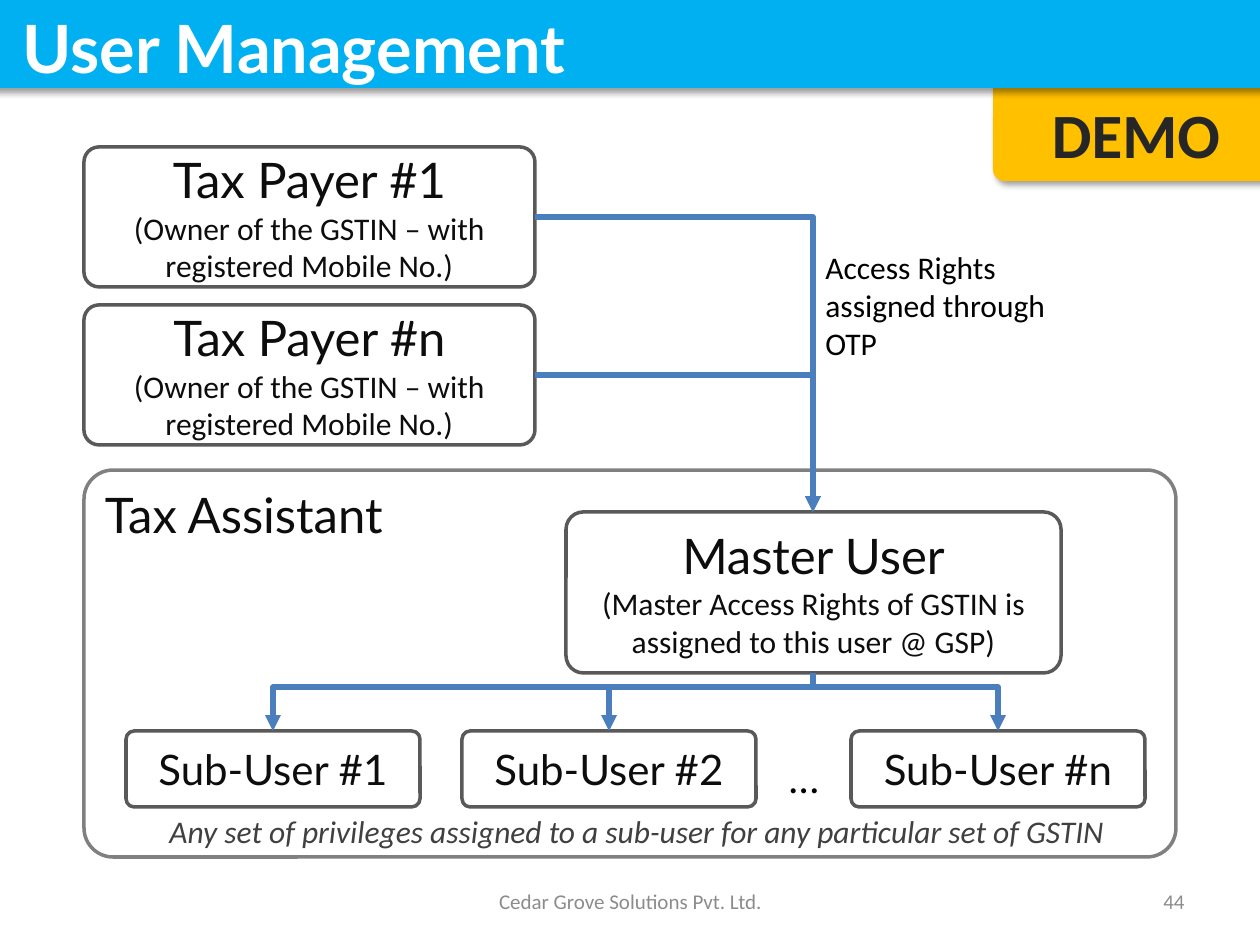
"""Build the User Management slide showing how access rights pass to sub-users."""
from dataclasses import dataclass

from lxml import etree
from pptx import Presentation, util as u
from pptx.dml.color import RGBColor
from pptx.enum import shapes, text
from pptx.oxml.ns import qn

SCALE = 914400 / 126


def px(length):
    """Turn px into EMU."""
    return u.Emu(round(length * SCALE))


@dataclass(frozen=True)
class Theme:
    """Colours, fonts and type sizes."""
    bar: str = "00B0F0"
    badge: str = "FFC000"
    white: str = "FFFFFF"
    black: str = "000000"
    ink: str = "0D0D0D"
    badge_ink: str = "262626"
    note_ink: str = "404040"
    footer_ink: str = "8C8C8C"
    box_line: str = "595959"
    panel_line: str = "808080"
    arrow: str = "4B7EBC"
    head_font: str = "Lato"
    body_font: str = "Calibri"
    title: int = 38
    demo: int = 36
    head: int = 28
    sub: int = 24
    body: int = 18
    footer: int = 12


class Deck:
    """Holds the theme and the current slide and draws its elements."""

    def __init__(self, theme):
        """Open a one-slide deck."""
        self.theme = theme
        self.deck = Presentation()
        self.deck.slide_width, self.deck.slide_height = px(1260), px(945)
        self.slide = self.deck.slides.add_slide(self.deck.slide_layouts[5])

    def fill_text(self, frame, lines, align, anchor, wrap=True):
        """Add one paragraph for each (wording, size, font, colour, style) line."""
        frame.word_wrap = wrap
        frame.vertical_anchor = anchor
        for index, (wording, size, face, colour, style) in enumerate(lines):
            paragraph = frame.add_paragraph() if index else frame.paragraphs[0]
            paragraph.alignment = align
            run = paragraph.add_run()
            run.text = wording
            run.font.size = u.Pt(size)
            run.font.name = face
            run.font.color.rgb = RGBColor.from_string(colour)
            run.font.bold = style == "bold"
            run.font.italic = style == "italic"

    def title(self, area, wording):
        """Place the title placeholder above what is drawn so far."""
        t = self.theme
        heading = self.slide.shapes.title
        heading.left, heading.top, heading.width, heading.height = map(px, area)
        self.slide.shapes._spTree.append(heading._element)
        heading.text_frame.auto_size = text.MSO_AUTO_SIZE.NONE
        self.fill_text(heading.text_frame, [(wording, t.title, t.head_font, t.white, "bold")],
                       text.PP_ALIGN.LEFT, text.MSO_ANCHOR.TOP)

    def box(self, area, fill, line=None, corner=0.108, lines=(), shadow=None,
            align=text.PP_ALIGN.CENTER, anchor=text.MSO_ANCHOR.MIDDLE):
        """Draw a rounded box, with a shadow in the given direction if any."""
        box = self.slide.shapes.add_shape(
            shapes.MSO_SHAPE.ROUNDED_RECTANGLE, *map(px, area))
        box.adjustments[0] = corner
        box.fill.solid()
        box.fill.fore_color.rgb = RGBColor.from_string(fill)
        if line:
            box.line.color.rgb = RGBColor.from_string(line)
            box.line.width = u.Pt(2)
        else:
            box.line.fill.background()
        box.shadow.inherit = False
        if shadow is not None:
            effects = box._element.spPr.find(qn("a:effectLst"))
            outer = etree.SubElement(effects, qn("a:outerShdw"), blurRad=str(u.Pt(4)),
                                     dist=str(u.Pt(3)), dir=str(shadow * 60000),
                                     algn="tl", rotWithShape="0")
            colour = etree.SubElement(outer, qn("a:srgbClr"), val=self.theme.black)
            etree.SubElement(colour, qn("a:alpha"), val="40000")
        self.fill_text(box.text_frame, lines, align, anchor)

    def card(self, area, heading, detail=None, size=None):
        """Draw a white outlined box with a heading and an optional detail."""
        t = self.theme
        lines = [(heading, size or t.head, t.head_font, t.ink, None)]
        if detail:
            lines.append((detail, t.body, t.body_font, t.ink, None))
        self.box(area, t.white, t.box_line, lines=lines)

    def label(self, area, wording, size, colour, style=None, wrap=True,
              align=text.PP_ALIGN.LEFT, anchor=text.MSO_ANCHOR.TOP):
        """Add a text box."""
        label = self.slide.shapes.add_textbox(*map(px, area))
        self.fill_text(label.text_frame, [(wording, size, self.theme.body_font, colour, style)],
                       align, anchor, wrap)

    def elbow(self, start, end, bend=None):
        """Draw a bent arrow: across then down, or down, across, down at the bend."""
        (x1, y1), (x2, y2) = start, end
        arrow = self.slide.shapes.add_connector(
            shapes.MSO_CONNECTOR.ELBOW, px(x1), px(y1), px(x2), px(y2))
        properties = arrow._element.spPr
        geometry = properties.find(qn("a:prstGeom"))
        if bend is None:
            geometry.set("prst", "bentConnector2")
        else:
            drop, reach = y2 - y1, abs(x2 - x1)
            arrow.left, arrow.top = px((x1 + x2 - drop) / 2), px((y1 + y2 - reach) / 2)
            arrow.width, arrow.height = px(drop), px(reach)
            rightward = x2 > x1
            frame = properties.find(qn("a:xfrm"))
            frame.set("rot", str((270 if rightward else 90) * 60000))
            frame.set("flipH", str(int(rightward)))
            etree.SubElement(geometry.find(qn("a:avLst")), qn("a:gd"), name="adj1",
                             fmla=f"val {round(bend * 100000)}")
        arrow.line.color.rgb = RGBColor.from_string(self.theme.arrow)
        arrow.line.width = u.Pt(3)
        etree.SubElement(properties.find(qn("a:ln")), qn("a:tailEnd"), type="triangle")
        etree.SubElement(properties, qn("a:effectLst"))


def main():
    """Draw the slide and save it."""
    t = Theme()
    deck = Deck(t)
    deck.box((993, 76, 286, 105), t.badge, shadow=45, anchor=text.MSO_ANCHOR.BOTTOM,
             lines=[("DEMO", t.demo, t.body_font, t.badge_ink, "bold")])
    deck.box((-53, -24, 1351, 112), t.bar, corner=0.17, shadow=135)
    deck.title((10, 1, 1239, 93), "User Management")

    deck.box((84, 470, 1092, 387), t.white, t.panel_line, corner=0.075,
             align=text.PP_ALIGN.LEFT, anchor=text.MSO_ANCHOR.TOP,
             lines=[("Tax Assistant", t.head, t.head_font, t.ink, None)])
    master_x, master_top, master_bottom = 813, 512, 673
    deck.card((566, master_top, 495, master_bottom - master_top), "Master User",
              "(Master Access Rights of GSTIN is assigned to this user @ GSP)")

    sub_top, sub_width = 731, 294
    for mark, left in (("1", 126), ("2", 462), ("n", 851)):
        deck.card((left, sub_top, sub_width, 76), f"Sub-User #{mark}", size=t.sub)
        deck.elbow((master_x, master_bottom), (left + sub_width // 2, sub_top), bend=0.24)
    deck.label((777, 745, 55, 63), "…", t.sub, t.black, wrap=False)
    deck.label((157, 806, 974, 51),
               "Any set of privileges assigned to a sub-user for any particular set of GSTIN",
               t.body, t.note_ink, "italic", wrap=False)

    payer_left, payer_width, payer_height = 84, 451, 140
    for mark, top in (("1", 147), ("n", 305)):
        deck.card((payer_left, top, payer_width, payer_height), f"Tax Payer #{mark}",
                  "(Owner of the GSTIN – with registered Mobile No.)")
        deck.elbow((payer_left + payer_width, top + payer_height // 2),
                   (master_x, master_top))
    deck.label((813, 242, 247, 127), "Access Rights assigned through OTP", t.body, t.black)

    deck.label((431, 876, 399, 50), "Cedar Grove Solutions Pvt. Ltd.", t.footer,
               t.footer_ink, align=text.PP_ALIGN.CENTER, anchor=text.MSO_ANCHOR.MIDDLE)
    deck.label((903, 876, 294, 50), "44", t.footer, t.footer_ink,
               align=text.PP_ALIGN.RIGHT, anchor=text.MSO_ANCHOR.MIDDLE)
    deck.deck.save("out.pptx")


if __name__ == "__main__":
    main()
